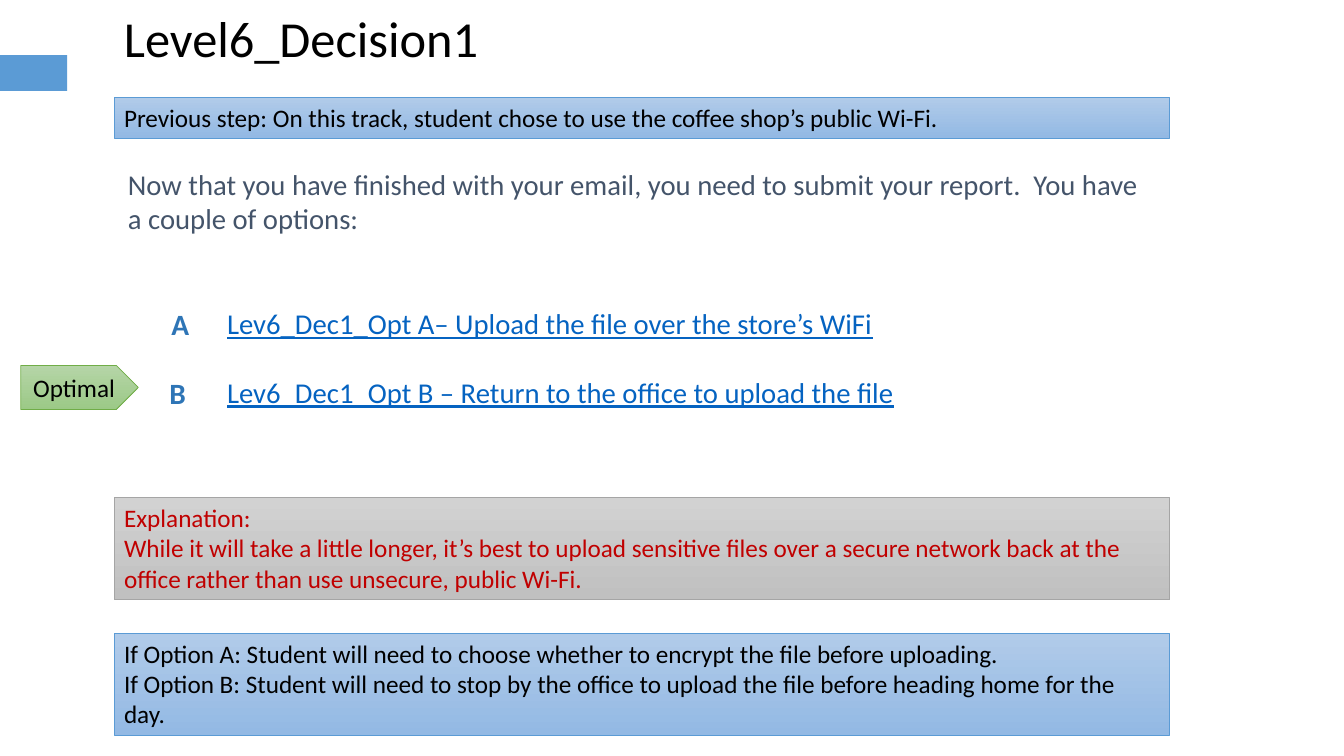
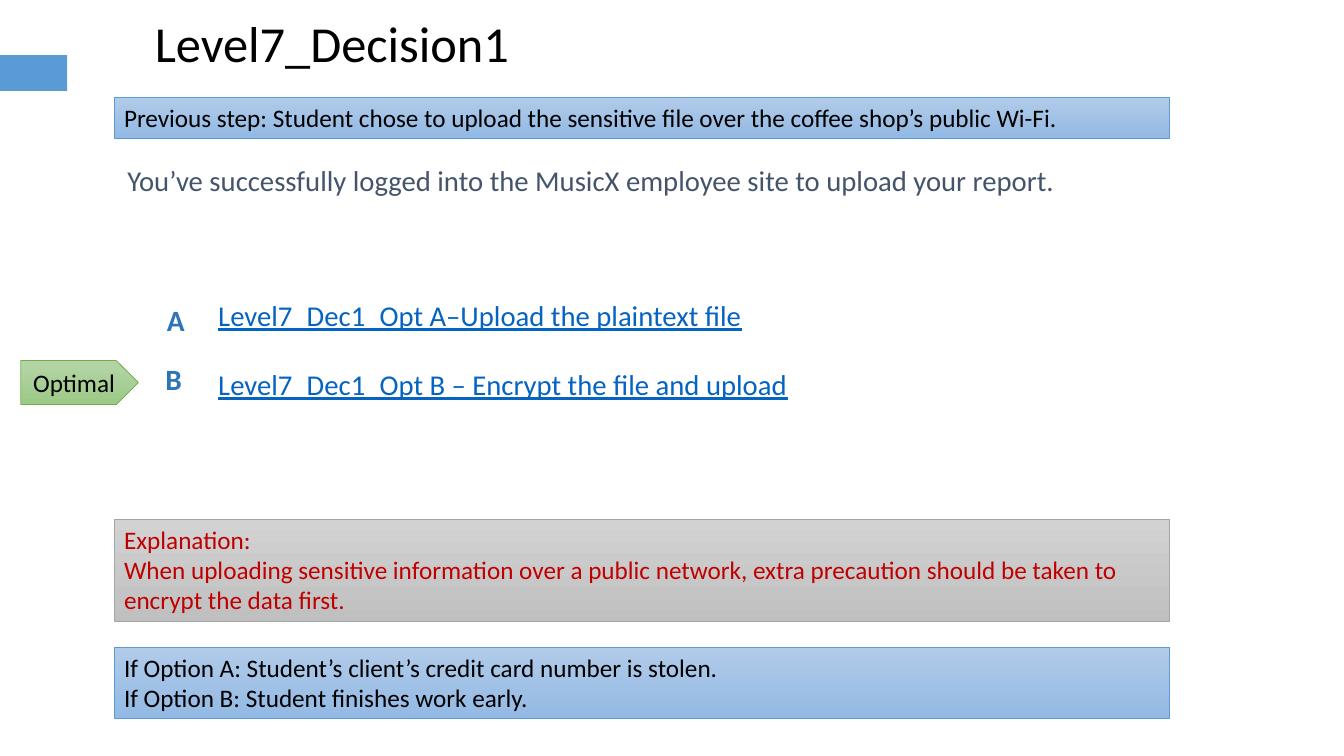
"""Build two decision slides of a security training storyboard."""
from pptx import Presentation
from pptx.dml.color import RGBColor
from pptx.enum.shapes import MSO_SHAPE
from pptx.enum.text import MSO_ANCHOR, PP_ALIGN
from pptx.util import Pt

COLORS = {
    "black": "000000", "accent": "5B9BD5", "prompt": "44546A",
    "link": "0563C1", "letter": "2E75B6", "explanation": "C00000",
}
PANEL_STYLES = {
    "blue": ("B1CBE9", "93B9E4", "5B9BD5"),
    "gray": ("D2D2D2", "C0C0C0", "A5A5A5"),
    "green": ("B5D5A7", "9CC987", "70AD47"),
}
FONT = "Calibri"
PANEL_LEFT, PANEL_WIDTH = 81.5, 754
LINE_HEIGHT, PANEL_PADDING = 22, 7
PLAIN_INSETS = (7.2, 3.6)
WIDE_INSETS = (9.4, 5)

DECISIONS = [
    {
        "title": ("Level6_Decision1", (81.5, 1.5, 460, 72.5)),
        "previous": "Previous step: On this track, student chose to use the coffee shop’s public Wi-Fi.",
        "prompt": ("Now that you have finished with your email, you need to submit your report.  "
                   "You have a couple of options:", (82, 113.8, 753, 176.5)),
        "options": (["Lev6_Dec1_Opt A– Upload the file over the store’s WiFi",
                     "Lev6_Dec1_Opt B – Return to the office to upload the file"],
                    (152.8, 213.8, 662, 254)),
        "letters": [("A", (113, 213.8, 40, 42)), ("B", (111.6, 262.8, 34, 32))],
        "optimal_top": 261,
        "explanation": (["Explanation:",
                         "While it will take a little longer, it’s best to upload sensitive files over a "
                         "secure network back at the office rather than use unsecure, public Wi-Fi."],
                        355.3, 3),
        "outcomes": (["If Option A: Student will need to choose whether to encrypt the file before uploading.",
                      "If Option B: Student will need to stop by the office to upload the file "
                      "before heading home for the day."], 452.2, 3),
    },
    {
        "title": ("Level7_Decision1", (103.5, 5, 358.5, 51)),
        "previous": "Previous step: Student chose to upload the sensitive file over the coffee shop’s public Wi-Fi.",
        "prompt": ("You’ve successfully logged into the MusicX employee site to upload your report.",
                   (81.5, 111.6, 874, 176.5)),
        "options": (["Level7_Dec1_Opt A–Upload the plaintext file",
                     "Level7_Dec1_Opt B – Encrypt the file and upload"],
                    (146.5, 208, 462, 93.6)),
        "letters": [("A", (109.7, 211, 35, 42)), ("B", (108.7, 252.8, 36, 32))],
        "optimal_top": 257.5,
        "explanation": (["Explanation:",
                         "When uploading sensitive information over a public network, extra precaution "
                         "should be taken to encrypt the data first."], 370.8, 3),
        "outcomes": (["If Option A: Student’s client’s credit card number is stolen.",
                      "If Option B: Student finishes work early."], 462.2, 2),
    },
]


def rgb(value):
    return RGBColor.from_string(value)


def write(shape, lines, size, color, insets=PLAIN_INSETS, bold=False, underline=False,
          gap=0, align=PP_ALIGN.LEFT, anchor=MSO_ANCHOR.TOP):
    frame = shape.text_frame
    frame.word_wrap = True
    frame.vertical_anchor = anchor
    frame.margin_left = frame.margin_right = Pt(insets[0])
    frame.margin_top = frame.margin_bottom = Pt(insets[1])
    for index, line in enumerate(lines):
        paragraph = frame.add_paragraph() if index else frame.paragraphs[0]
        paragraph.text = line
        paragraph.alignment = align
        if index and gap:
            paragraph.space_before = Pt(gap)
        font = paragraph.font
        font.name, font.size, font.bold, font.underline = FONT, Pt(size), bold, underline
        font.color.rgb = rgb(COLORS[color])


def add_text(slide, lines, box, size, color, **style):
    write(slide.shapes.add_textbox(*map(Pt, box)), lines, size, color, **style)


def add_panel(slide, preset, box, style):
    top_color, bottom_color, line_color = PANEL_STYLES[style]
    panel = slide.shapes.add_shape(preset, *map(Pt, box))
    panel.shadow.inherit = False
    panel.fill.gradient()
    panel.fill.gradient_angle = 270
    for stop, color in zip(panel.fill.gradient_stops, (top_color, bottom_color)):
        stop.color.rgb = rgb(color)
    panel.line.color.rgb = rgb(line_color)
    panel.line.width = Pt(0.5)
    return panel


def add_note(slide, lines, top, line_count, style="blue", color="black"):
    height = PANEL_PADDING + LINE_HEIGHT * line_count
    panel = add_panel(slide, MSO_SHAPE.RECTANGLE, (PANEL_LEFT, top, PANEL_WIDTH, height), style)
    write(panel, lines, 18, color)


def add_accent(slide):
    accent = slide.shapes.add_shape(MSO_SHAPE.RECTANGLE, *map(Pt, (0, 39.5, 48, 25.5)))
    accent.shadow.inherit = False
    accent.fill.solid()
    accent.fill.fore_color.rgb = rgb(COLORS["accent"])
    accent.line.fill.background()


def add_optimal(slide, top):
    marker = add_panel(slide, MSO_SHAPE.PENTAGON, (14.8, top, 84, 31.5), "green")
    write(marker, ["Optimal"], 18, "black", align=PP_ALIGN.CENTER, anchor=MSO_ANCHOR.MIDDLE)


def add_decision(deck, decision):
    slide = deck.slides.add_slide(deck.slide_layouts[6])
    add_accent(slide)
    prompt, prompt_box = decision["prompt"]
    add_text(slide, [prompt], prompt_box, 20.5, "prompt", insets=WIDE_INSETS)
    options, options_box = decision["options"]
    add_text(slide, options, options_box, 20.5, "link", insets=WIDE_INSETS, underline=True, gap=24.5)
    for letter, letter_box in decision["letters"]:
        add_text(slide, [letter], letter_box, 21, "letter", insets=WIDE_INSETS, bold=True)
    title, title_box = decision["title"]
    add_text(slide, [title], title_box, 36, "black")
    add_note(slide, [decision["previous"]], 69.5, 1)
    add_note(slide, *decision["outcomes"])
    add_note(slide, *decision["explanation"], style="gray", color="explanation")
    add_optimal(slide, decision["optimal_top"])


def main():
    deck = Presentation()
    deck.slide_width, deck.slide_height = Pt(960), Pt(540)
    for decision in DECISIONS:
        add_decision(deck, decision)
    deck.save("out.pptx")


if __name__ == "__main__":
    main()
